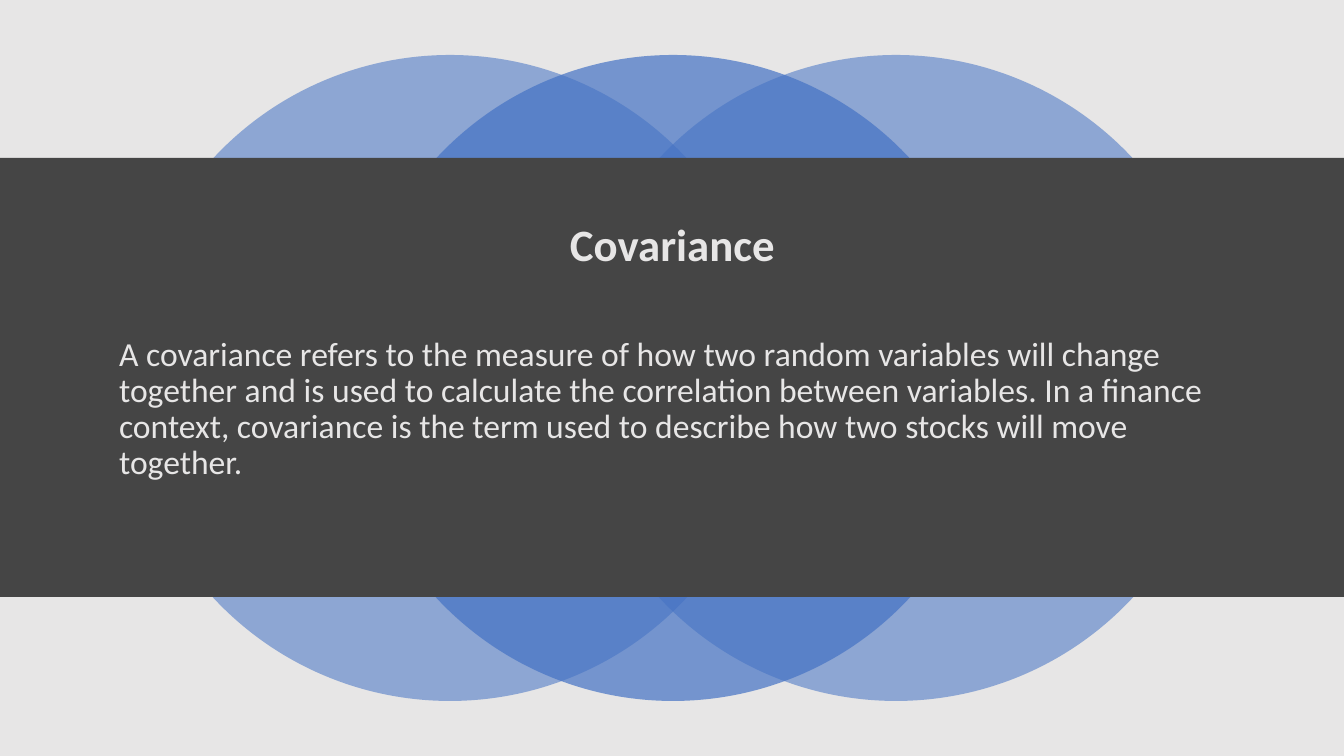
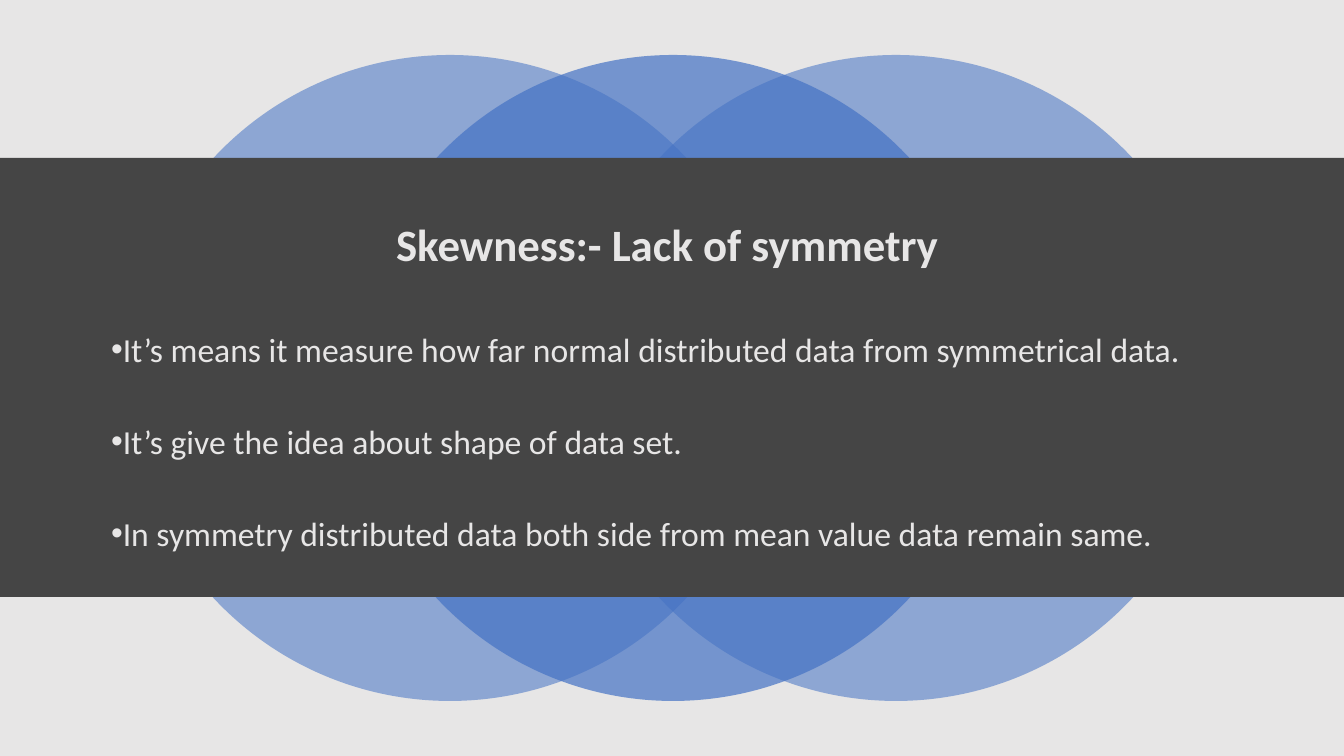
import pptx
import pptx.util
import pptx.dml.color
import pptx.enum.shapes
import pptx.enum.text
import pptx.oxml.ns
import lxml.etree

COLORS = {"paper": "E7E6E6", "band": "454545", "circle": "4472C4"}
SCALE = 12192000 / 1344
WIDTH, HEIGHT = 1344, 756
SHAPES = pptx.enum.shapes.MSO_SHAPE
ALIGN = pptx.enum.text.PP_ALIGN
ANCHOR = pptx.enum.text.MSO_ANCHOR
TITLE_FONT = {"name": "Calibri", "size": pptx.util.Pt(32), "bold": True}
BODY_FONT = {"name": "Calibri", "size": pptx.util.Pt(24), "bold": False}


def emu(pixels):
    return pptx.util.Emu(round(pixels * SCALE))


def color(name):
    return pptx.dml.color.RGBColor.from_string(COLORS[name])


def assign(target, values):
    for name, value in values.items():
        setattr(target, name, value)


def add_xml(parent, tag, **attributes):
    element = lxml.etree.SubElement(parent, pptx.oxml.ns.qn(tag))
    for name, value in attributes.items():
        element.set(name, str(value))


class SlideBuilder:
    def __init__(self, deck):
        self.deck = deck
        self.page = None

    def start(self):
        self.page = self.deck.slides.add_slide(self.deck.slide_layouts[1])
        self.shape(self.page.shapes, SHAPES.RECTANGLE, (0, 0, WIDTH, HEIGHT), "paper")
        self.circles()
        self.shape(self.page.shapes, SHAPES.RECTANGLE, (0, 158, WIDTH, 439), "band")

    def shape(self, shapes, kind, place, fill, opacity=100):
        shape = shapes.add_shape(kind, *map(emu, place))
        shape.shadow.inherit = False
        shape.line.fill.background()
        shape.fill.solid()
        shape.fill.fore_color.rgb = color(fill)
        if opacity < 100:
            tint = next(shape.element.iter(pptx.oxml.ns.qn("a:srgbClr")))
            add_xml(tint, "a:alpha", val=opacity * 1000)

    def circles(self):
        group = self.page.shapes.add_group_shape()
        for column, opacity in ((0, 55), (2, 55), (1, 70)):
            place = (127 + 223 * column, 55, 646, 646)
            self.shape(group.shapes, SHAPES.OVAL, place, "circle", opacity)

    def fill_placeholder(self, box, place, lines, font, frame_format, para_format):
        self.page.shapes.element.append(box.element)
        assign(box, dict(zip(("left", "top", "width", "height"), map(emu, place))))
        frame = box.text_frame
        assign(frame, {"word_wrap": True, "auto_size": pptx.enum.text.MSO_AUTO_SIZE.NONE})
        assign(frame, frame_format)
        frame.text = "\n".join(lines)
        for para in frame.paragraphs:
            assign(para, para_format)
            for span in para.runs:
                assign(span.font, font)
                span.font.color.rgb = color("paper")
        return frame.paragraphs

    def title(self, text):
        self.fill_placeholder(
            self.page.shapes.title, (93, 195, 1159, 103), [text], TITLE_FONT,
            {"vertical_anchor": ANCHOR.MIDDLE},
            {"alignment": ALIGN.CENTER, "line_spacing": 0.9})

    def body(self, place, lines, spacing, gap=10, bullet=None):
        paras = self.fill_placeholder(
            self.page.placeholders[1], place, lines, BODY_FONT,
            {"vertical_anchor": ANCHOR.TOP},
            {"alignment": ALIGN.LEFT, "line_spacing": spacing})
        for index, para in enumerate(paras):
            para.space_before = pptx.util.Pt(gap if index else 10)
            properties = para._p.get_or_add_pPr()
            properties.set("marL", "0")
            properties.set("indent", "-228600" if bullet else "0")
            if bullet:
                add_xml(properties, "a:buFont", typeface="Arial")
                add_xml(properties, "a:buChar", char=bullet)
            else:
                add_xml(properties, "a:buNone")


deck = pptx.Presentation()
assign(deck, {"slide_width": emu(WIDTH), "slide_height": emu(HEIGHT)})
builder = SlideBuilder(deck)

builder.start()
builder.title("Covariance")
builder.body((109, 332, 1126, 233), [
    "A covariance refers to the measure of how two random variables will change "
    "together and is used to calculate the correlation between variables. In a "
    "finance context, covariance is the term used to describe how two stocks will "
    "move together. "], 0.9)

builder.start()
builder.title("Skewness:- Lack of symmetry ")
builder.body((101, 332, 1142, 233), [
    "It’s means it measure how far normal distributed data from symmetrical data. ",
    "It’s give the idea about shape of data set.",
    "In symmetry distributed data both side from mean value data remain same. ",
], 0.8, gap=42.7, bullet="•")

deck.save("out.pptx")
